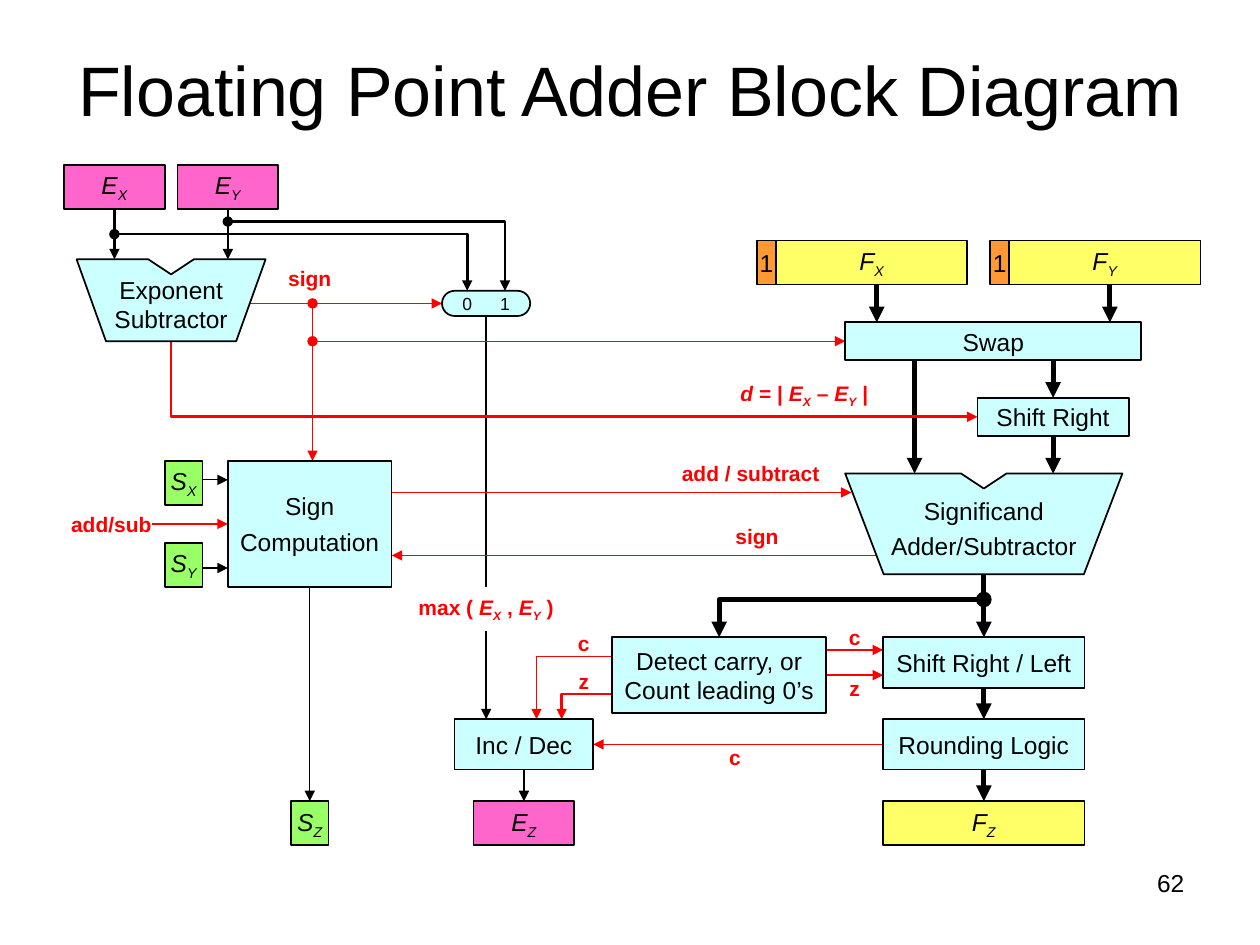
import pptx
import pptx.util
import pptx.dml.color
import pptx.enum.shapes
import pptx.enum.text
import pptx.oxml.ns
import lxml.etree

COLORS = {
    "black": "000000", "red": "FF0000", "white": "FFFFFF", "pink": "FF66CC",
    "yellow": "FFFF66", "orange": "FF9933", "green": "99FF66", "cyan": "CCFFFF",
}
THIN, MEDIUM, HEAVY = 0.75, 1.5, 3


class Diagram:
    font_name = "Arial"
    origin = 0.6
    outline = 1

    def __init__(self, slide):
        self.slide = slide

    def place(self, *values):
        return [pptx.util.Pt(value + self.origin) for value in values]

    def color(self, name):
        return pptx.dml.color.RGBColor.from_string(COLORS[name])

    def paint(self, shape, fill, line):
        shape.shadow.inherit = False
        if fill:
            shape.fill.solid()
            shape.fill.fore_color.rgb = self.color(fill)
        else:
            shape.fill.background()
        if line:
            shape.line.color.rgb = self.color(line)
            shape.line.width = pptx.util.Pt(self.outline)
        else:
            shape.line.fill.background()

    def add_text(self, shape, text, size, color, bold=False, align="CENTER", gap=0):
        frame = shape.text_frame
        frame.word_wrap = True
        frame.margin_left = frame.margin_right = frame.margin_top = frame.margin_bottom = 0
        frame.vertical_anchor = pptx.enum.text.MSO_ANCHOR.MIDDLE
        for index, line in enumerate(text.split("\n")):
            paragraph = frame.add_paragraph() if index else frame.paragraphs[0]
            paragraph.alignment = pptx.enum.text.PP_ALIGN[align]
            if index and gap:
                paragraph.space_before = pptx.util.Pt(gap)
            paragraph.font.name = self.font_name
            paragraph.font.size = pptx.util.Pt(size)
            paragraph.font.bold = bold
            paragraph.font.color.rgb = self.color(color)
            self.add_runs(paragraph, line)

    def add_runs(self, paragraph, line):
        pieces = [(piece, index % 2 == 1) for index, piece in enumerate(line.split("*")) if piece]
        all_italic = all(italic for _, italic in pieces)
        paragraph.font.italic = all_italic
        for piece, italic in pieces:
            for level, part in enumerate(piece.split("_")):
                run = paragraph.add_run()
                run.text = part
                if italic and not all_italic:
                    run.font.italic = True
                if level:
                    run._r.get_or_add_rPr().set("baseline", "-25000")

    def label(self, text, left, top, width, height, size=12, color="red", bold=True, **options):
        shape = self.slide.shapes.add_textbox(
            *self.place(left, top), pptx.util.Pt(width), pptx.util.Pt(height))
        self.add_text(shape, text, size, color, bold, **options)

    def box(self, text, left, top, width, height, fill="cyan", line="black",
            kind="RECTANGLE", size=14, color="black", bold=False, gap=0):
        shape = self.slide.shapes.add_shape(
            pptx.enum.shapes.MSO_SHAPE[kind], *self.place(left, top),
            pptx.util.Pt(width), pptx.util.Pt(height))
        if kind == "ROUNDED_RECTANGLE":
            shape.adjustments[0] = 0.5
        self.paint(shape, fill, line)
        if text:
            self.add_text(shape, text, size, color, bold, gap=gap)

    def outline_path(self, points, close):
        start, *rest = [self.place(*point) for point in points]
        builder = self.slide.shapes.build_freeform(*start, scale=1.0)
        builder.add_line_segments(rest, close=close)
        return builder.convert_to_shape()

    def unit(self, center, top, height, half_top, half_bottom):
        notch_half, notch_depth = 13, 8.6
        bottom = top + height
        shape = self.outline_path([
            (center - half_bottom, bottom), (center - half_top, top),
            (center - notch_half, top), (center, top + notch_depth),
            (center + notch_half, top), (center + half_top, top),
            (center + half_bottom, bottom)], close=True)
        self.paint(shape, "cyan", "black")

    def arrow(self, *points, color="black", width=HEAVY, dot=False):
        if len(points) == 2:
            shape = self.slide.shapes.add_connector(
                pptx.enum.shapes.MSO_CONNECTOR.STRAIGHT,
                *self.place(*points[0]), *self.place(*points[1]))
        else:
            shape = self.outline_path(points, close=False)
            self.paint(shape, None, color)
        shape.line.color.rgb = self.color(color)
        shape.line.width = pptx.util.Pt(width)
        qualified = pptx.oxml.ns.qn
        properties = shape._element.spPr
        line = properties.find(qualified("a:ln"))
        if dot:
            lxml.etree.SubElement(line, qualified("a:headEnd"), type="oval")
        lxml.etree.SubElement(line, qualified("a:tailEnd"), type="triangle")
        if len(points) == 2:
            lxml.etree.SubElement(properties, qualified("a:effectLst"))


def draw_arrows(diagram):
    for x, top, bottom, width in [
        (64.8, 118.8, 147.6, MEDIUM), (129.6, 118.8, 147.6, MEDIUM),
        (500.4, 162, 183.6, HEAVY), (633.6, 162, 183.6, HEAVY),
        (601.2, 205.2, 226.8, HEAVY), (601.2, 248.4, 270, HEAVY),
        (522, 205.2, 270, HEAVY), (561.6, 327.6, 363.6, HEAVY),
        (561.6, 392.4, 410.4, HEAVY), (561.6, 439.2, 457.2, HEAVY),
        (277.2, 180, 410.4, MEDIUM), (298.8, 439.2, 457.2, MEDIUM),
        (176.4, 334.8, 457.2, THIN),
    ]:
        diagram.arrow((x, top), (x, bottom), width=width)
    for y, start, end, color, width in [
        (316.8, 500.4, 223.2, "red", THIN), (280.8, 223.2, 486, "red", THIN),
        (172.8, 140.4, 252, "red", THIN), (298.8, 86.4, 129.6, "red", THIN),
        (424.8, 504, 338.4, "red", THIN), (370.8, 471.6, 504, "red", THIN),
        (385.2, 471.6, 504, "red", MEDIUM),
        (273.6, 115.2, 129.6, "black", THIN), (324, 115.2, 129.6, "black", THIN),
    ]:
        diagram.arrow((start, y), (end, y), color=color, width=width)
    diagram.arrow((64.8, 133.2), (266.4, 133.2), (266.4, 165.6), width=MEDIUM, dot=True)
    diagram.arrow((129.6, 126), (288, 126), (288, 165.6), width=MEDIUM, dot=True)
    diagram.arrow((561.6, 342), (410.4, 342), (410.4, 363.6), dot=True)
    diagram.arrow((97.2, 194.4), (97.2, 237.6), (558, 237.6), color="red", width=MEDIUM)
    diagram.arrow((178, 172.8), (178, 194.4), (482.4, 194.4), color="red", width=THIN, dot=True)
    diagram.arrow((178, 194.4), (178, 262.8), color="red", width=THIN, dot=True)
    diagram.arrow((349.2, 374.4), (306, 374.4), (306, 410.4), color="red", width=THIN)
    diagram.arrow((349.2, 396), (320.4, 396), (320.4, 410.4), color="red", width=MEDIUM)


def draw_blocks(diagram):
    for text, left, top, width, fill in [
        ("*E_X*", 36, 93.6, 57.6, "pink"), ("*E_Y*", 100.8, 93.6, 57.6, "pink"),
        ("*E_Z*", 270, 457.2, 57.6, "pink"),
        ("1", 432, 136.8, 10.8, "orange"), ("*F_X*", 442.8, 136.8, 109.4, "yellow"),
        ("1", 565.2, 136.8, 10.8, "orange"), ("*F_Y*", 576, 136.8, 109.4, "yellow"),
        ("*F_Z*", 504, 457.2, 115.2, "yellow"),
        ("*S_X*", 93.6, 262.8, 21.6, "green"), ("*S_Y*", 93.6, 309.6, 21.6, "green"),
        ("*S_Z*", 165.6, 457.2, 21.6, "green"),
    ]:
        diagram.box(text, left, top, width, 25.2, fill)
    for text, left, top, width, height in [
        ("Swap", 482.4, 183.6, 169.2, 21.6), ("Shift Right", 558, 226.8, 86.4, 21.6),
        ("Shift Right / Left", 504, 363.6, 115.2, 28.8),
        ("Rounding Logic", 504, 410.4, 115.2, 28.8), ("Inc / Dec", 259.2, 410.4, 79.2, 28.8),
        ("Detect carry, or\nCount leading 0’s", 349.2, 363.6, 122.4, 43.2),
    ]:
        diagram.box(text, left, top, width, height)
    diagram.box("Sign\nComputation", 129.6, 262.8, 93.6, 72, gap=3.5)
    diagram.box("", 252, 165.6, 50.4, 14.4, kind="ROUNDED_RECTANGLE")
    diagram.unit(97.2, 147.6, 46.8, 54, 37.2)
    diagram.unit(561.6, 270, 57.6, 79.2, 57.2)


def draw_labels(diagram):
    black = {"color": "black", "bold": False}
    diagram.label("Floating Point Adder Block Diagram", 11.4, 5.2, 696, 90, size=40, **black)
    diagram.label("Exponent\nSubtractor", 59.8, 156.4, 74.8, 33.8, size=14, **black)
    diagram.label("Significand\nAdder/Subtractor", 497.5, 280.2, 128.2, 41.8,
                  size=14, gap=3.5, **black)
    for digit, center in [("0", 266.4), ("1", 288)]:
        diagram.label(digit, center - 7.2, 165.6, 14.4, 14.4, size=10, **black)
    diagram.box("max ( *E_X* , *E_Y* )", 237.6, 334.8, 79.2, 25.2, "white", None,
                size=12, color="red", bold=True)
    for text, left, top, width, height in [
        ("sign", 162, 147.6, 28.8, 21.6), ("sign", 417.6, 295.2, 28.8, 21.6),
        ("*d* = | *E_X* – *E_Y* |", 417.6, 212.4, 82.8, 25.2),
        ("add / subtract", 385.2, 259.2, 86.4, 21.6), ("add/sub", 39.6, 288, 46.8, 21.6),
        ("c", 475.2, 356.4, 25.2, 14.4), ("z", 475.2, 385.2, 25.2, 14.4),
        ("c", 320.4, 360, 25.2, 14.4), ("z", 320.4, 381.6, 25.2, 14.4),
        ("c", 406.8, 424.8, 25.2, 14.4),
    ]:
        diagram.label(text, left, top, width, height)
    diagram.label("62", 516, 492, 160.2, 24, size=14, align="RIGHT", **black)


def main():
    presentation = pptx.Presentation()
    presentation.slide_width = pptx.util.Pt(720)
    presentation.slide_height = pptx.util.Pt(540)
    diagram = Diagram(presentation.slides.add_slide(presentation.slide_layouts[6]))
    draw_arrows(diagram)
    draw_blocks(diagram)
    draw_labels(diagram)
    presentation.save("out.pptx")


if __name__ == "__main__":
    main()
